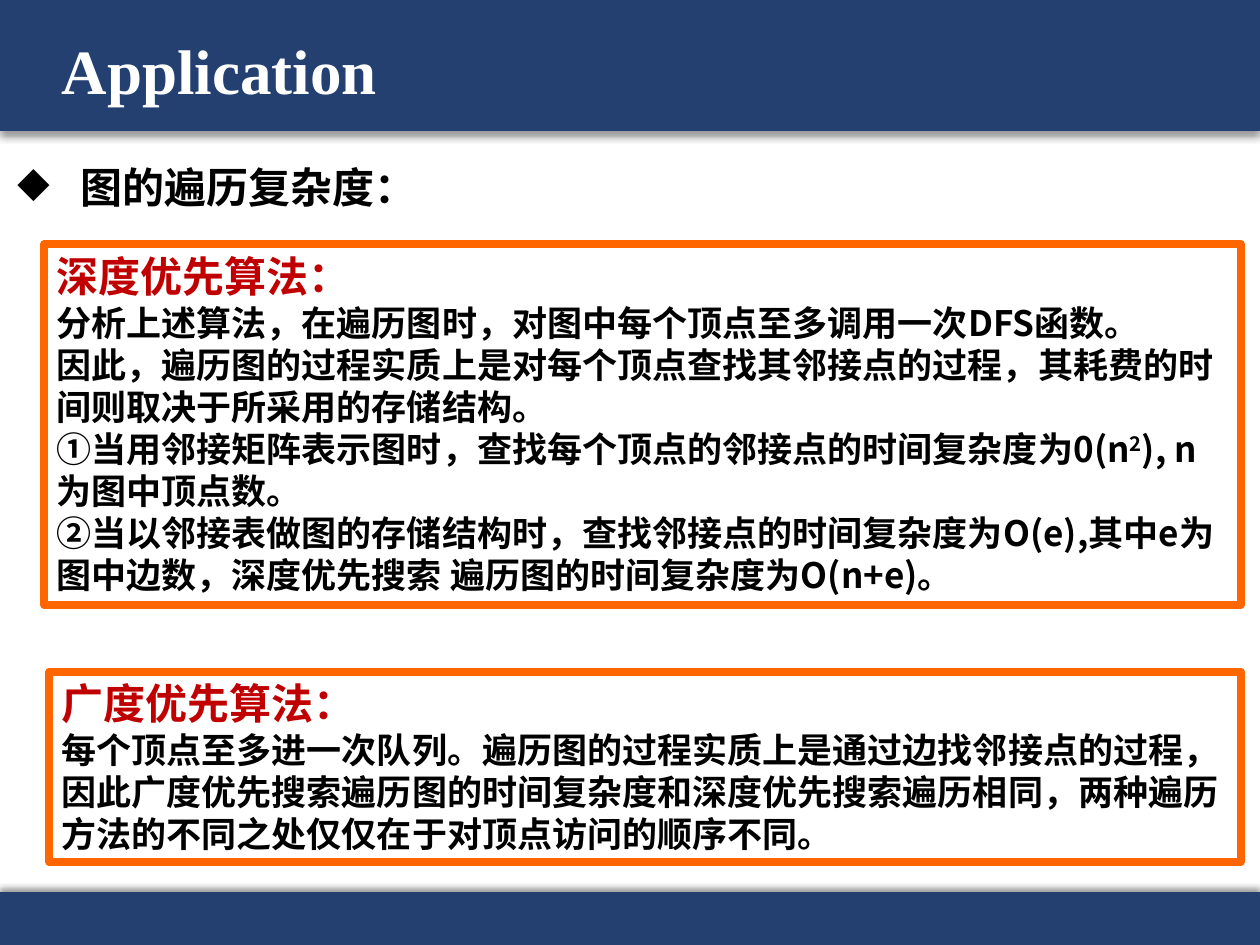
import dataclasses

import lxml.etree
import pptx
import pptx.dml.color
import pptx.enum.shapes
import pptx.enum.text
import pptx.oxml.ns
import pptx.util


@dataclasses.dataclass(frozen=True)
class Theme:
    navy: str = "234071"
    orange: str = "FF6600"
    red: str = "C00000"
    black: str = "000000"
    white: str = "FFFFFF"
    title_font: str = "Times New Roman"
    body_font: str = "Noto Sans CJK SC"
    title_size: int = 36
    heading_size: int = 24
    body_size: int = 20
    border: float = 4.5


def rgb(color):
    return pptx.dml.color.RGBColor.from_string(color)


def add_xml(parent, tag, **attributes):
    return lxml.etree.SubElement(parent, pptx.oxml.ns.qn(tag), attributes)


class SlideBuilder:
    """Holds the theme and the page; places are (left, top, width, height) in grid cells."""

    COLUMNS, ROWS = 100, 75

    def __init__(self, deck, theme):
        self.deck, self.theme = deck, theme
        self.page = deck.slides.add_slide(deck.slide_layouts[5])

    def place(self, left, top, width, height):
        column = self.deck.slide_width / self.COLUMNS
        row = self.deck.slide_height / self.ROWS
        return [pptx.util.Emu(round(length)) for length in
                (left * column, top * row, width * column, height * row)]

    def rectangle(self, *cells):
        box = self.page.shapes.add_shape(
            pptx.enum.shapes.MSO_SHAPE.RECTANGLE, *self.place(*cells))
        box.shadow.inherit = False
        return box

    def style(self, para, size, color, font=None):
        font = font or self.theme.body_font
        para.alignment = pptx.enum.text.PP_ALIGN.LEFT
        para.font.name = font
        para.font.size = pptx.util.Pt(size)
        para.font.bold = True
        para.font.color.rgb = rgb(color)
        defaults = para._p.pPr.find(pptx.oxml.ns.qn("a:defRPr"))
        add_xml(defaults, "a:ea", typeface=font)

    def band(self, top, height, shadow_angle):
        box = self.rectangle(0, top, self.COLUMNS, height)
        box.fill.solid()
        box.fill.fore_color.rgb = rgb(self.theme.navy)
        box.line.fill.background()
        effects = box._element.spPr.find(pptx.oxml.ns.qn("a:effectLst"))
        shadow = add_xml(effects, "a:outerShdw", blurRad=str(pptx.util.Pt(4)),
                         dist=str(pptx.util.Pt(3)), dir=str(shadow_angle * 60000),
                         rotWithShape="0")
        color = add_xml(shadow, "a:srgbClr", val=self.theme.black)
        add_xml(color, "a:alpha", val="40000")

    def title(self, text, *cells):
        box = self.page.shapes.title
        box.left, box.top, box.width, box.height = self.place(*cells)
        box.text_frame.text = text
        box.text_frame.vertical_anchor = pptx.enum.text.MSO_ANCHOR.MIDDLE
        para = box.text_frame.paragraphs[0]
        para.line_spacing = 0.9
        self.style(para, self.theme.title_size, self.theme.white, self.theme.title_font)
        # The title lies above the bands
        self.page.shapes._spTree.append(box._element)

    def bullet(self, text, *cells):
        box = self.page.shapes.add_textbox(*self.place(*cells))
        box.text_frame.word_wrap = True
        para = box.text_frame.paragraphs[0]
        para.text = text
        para.line_spacing = 1.25
        properties = para._p.get_or_add_pPr()
        indent = pptx.util.Inches(0.5)
        properties.set("marL", str(indent))
        properties.set("indent", str(-indent))
        add_xml(properties, "a:buChar", char="◆")
        self.style(para, self.theme.heading_size, self.theme.black)

    def framed_text(self, heading, paragraphs, *cells):
        """Each paragraph is a list of spans; every second span is superscript."""
        box = self.rectangle(*cells)
        box.fill.background()
        box.line.color.rgb = rgb(self.theme.orange)
        box.line.width = pptx.util.Pt(self.theme.border)
        frame = box.text_frame
        frame.word_wrap = True
        frame.vertical_anchor = pptx.enum.text.MSO_ANCHOR.TOP
        frame.paragraphs[0].text = heading
        self.style(frame.paragraphs[0], self.theme.heading_size, self.theme.red)
        for spans in paragraphs:
            para = frame.add_paragraph()
            self.style(para, self.theme.body_size, self.theme.black)
            for index, text in enumerate(spans):
                span = para.add_run()
                span.text = text
                if index % 2:
                    span.font._element.set("baseline", "30000")


DEPTH_FIRST = [
    ["分析上述算法，在遍历图时，对图中每个顶点至多调用一次DFS函数。"],
    ["因此，遍历图的过程实质上是对每个顶点查找其邻接点的过程，其耗费的时间则取决于所采用的存储结构。"],
    ["①当用邻接矩阵表示图时，查找每个顶点的邻接点的时间复杂度为0(n", "2", "), n 为图中顶点数。"],
    ["②当以邻接表做图的存储结构时，查找邻接点的时间复杂度为O(e),其中e为图中边数，"
     "深度优先搜索 遍历图的时间复杂度为O(n+e)。"],
]
BREADTH_FIRST = [
    ["每个顶点至多进一次队列。遍历图的过程实质上是通过边找邻接点的过程， "
     "因此广度优先搜索遍历图的时间复杂度和深度优先搜索遍历相同，"
     "两种遍历方法的不同之处仅仅在于对顶点访问的顺序不同。"],
]


def main():
    deck = pptx.Presentation()
    deck.slide_width = pptx.util.Inches(10)
    deck.slide_height = pptx.util.Inches(7.5)
    builder = SlideBuilder(deck, Theme())

    # Header and footer bands
    builder.band(0, 10.4, shadow_angle=90)
    builder.band(70.8, 4.2, shadow_angle=270)
    builder.title("Application", 3.9, 1.6, 86.2, 8.6)

    # Topic and the two algorithms
    builder.bullet("图的遍历复杂度：", 0.4, 11.3, 94.8, 13.6)
    builder.framed_text("深度优先算法：", DEPTH_FIRST, 3.5, 19.4, 95, 28.6)
    builder.framed_text("广度优先算法：", BREADTH_FIRST, 3.9, 53.3, 94.6, 15.1)

    deck.save("out.pptx")


if __name__ == "__main__":
    main()
